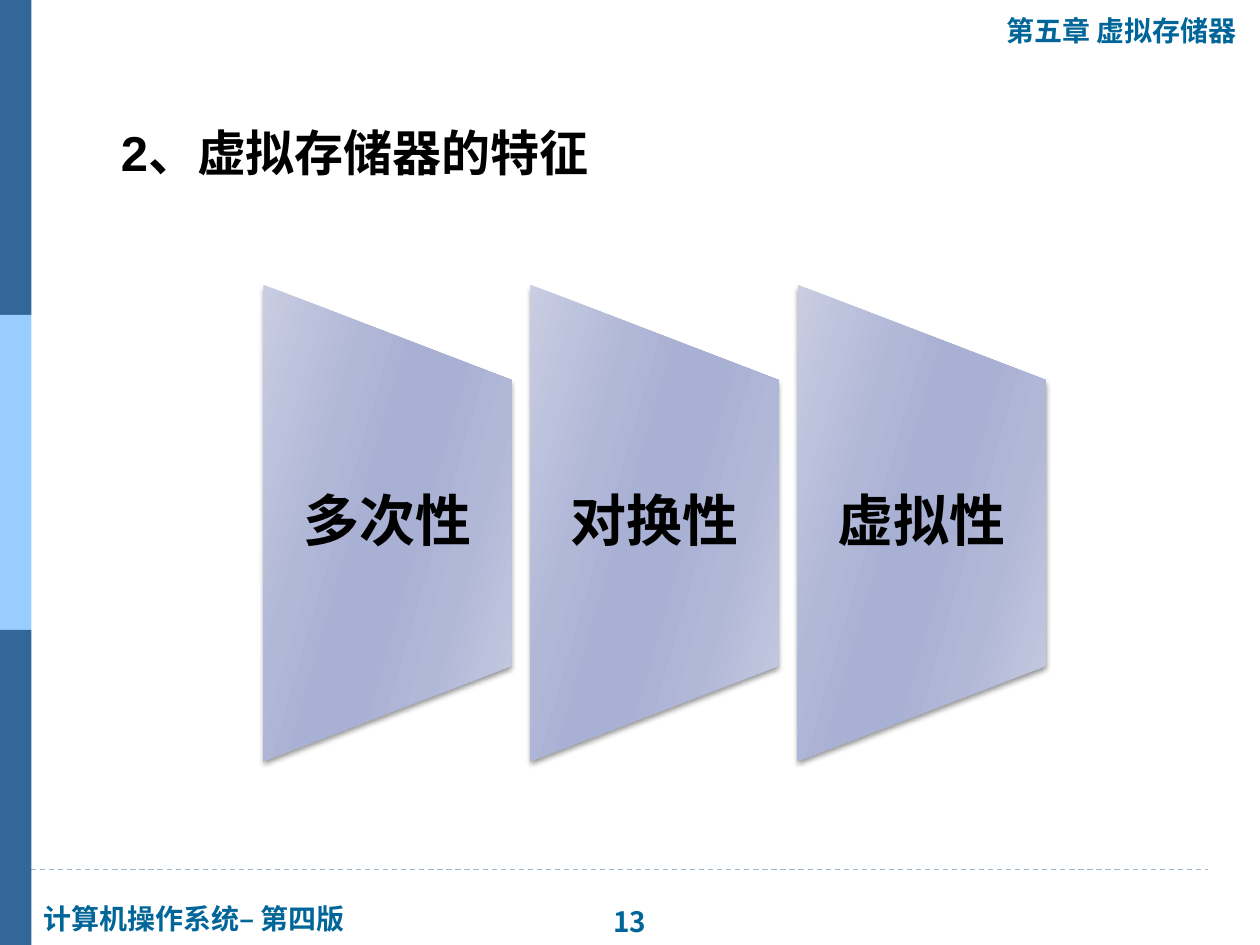
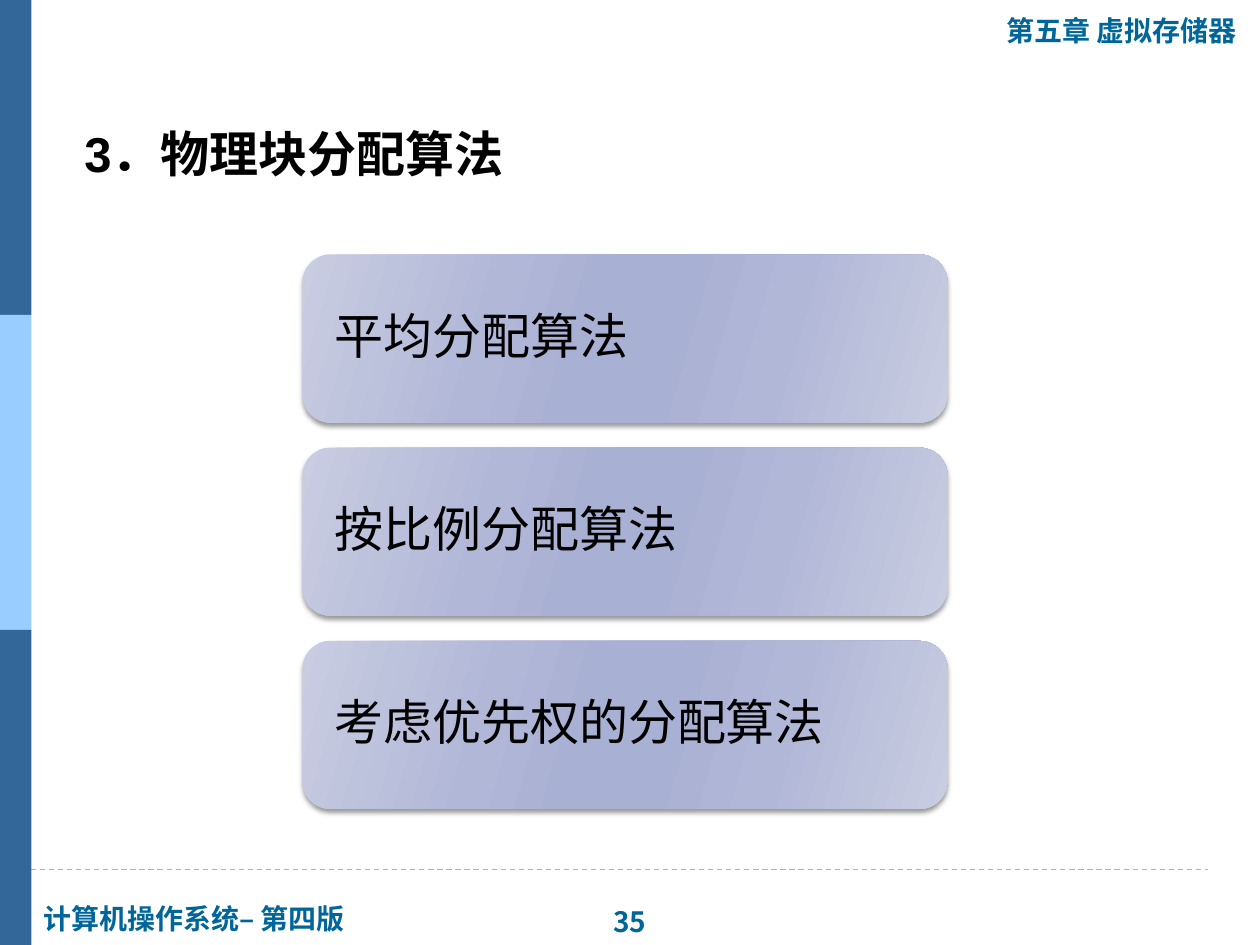
from lxml import etree
from pptx import Presentation
from pptx import util as u
from pptx.dml.color import RGBColor
from pptx.enum import dml, shapes, text
from pptx.oxml import ns

COLORS = {
    "bar": "336699",
    "bar_light": "99CCFF",
    "label": "006699",
    "rule": "9FB8CD",
    "text": "000000",
    "edge": "C9CDE2",
    "mid": "B1B7D7",
    "core": "A8B0D3",
}
SHEEN = [(0, "edge"), (30, "mid"), (45, "core"), (55, "core"), (73, "mid"), (100, "edge")]
SHEEN_ANGLE = 16
TITLE_ONLY = 5


def rgb(name):
    return RGBColor.from_string(COLORS[name])


def inches(*values):
    return [u.Inches(value) for value in values]


def add_element(parent, tag, **attributes):
    element = etree.SubElement(parent, ns.qn(tag))
    for name, value in attributes.items():
        element.set(name, str(value))
    return element


def write_text(shape, words, size, font="Arial", color="text", bold=False,
               align=text.PP_ALIGN.LEFT, anchor=text.MSO_ANCHOR.TOP,
               line_spacing=None, insets=(0.1, 0.05, 0.1, 0.05)):
    frame = shape.text_frame
    frame.word_wrap = True
    frame.auto_size = text.MSO_AUTO_SIZE.NONE
    frame.vertical_anchor = anchor
    (frame.margin_left, frame.margin_top,
     frame.margin_right, frame.margin_bottom) = inches(*insets)
    para = frame.paragraphs[0]
    para.alignment = align
    para.space_before = u.Pt(0)
    if line_spacing:
        para.line_spacing = line_spacing
    span = para.add_run()
    span.text = words
    span.font.size = u.Pt(size)
    span.font.name = font
    span.font.bold = bold
    span.font.color.rgb = rgb(color)


def add_label(page, box, words, size, **style):
    write_text(page.shapes.add_textbox(*inches(*box)), words, size, **style)


def add_glossy_shape(page, kind, box):
    """Add a borderless shape with the slanted sheen and a soft shadow below."""
    shape = page.shapes.add_shape(kind, *inches(*box))
    shape.line.fill.background()
    properties = shape._element.spPr

    gradient = etree.Element(ns.qn("a:gradFill"), rotWithShape="0")
    stops = add_element(gradient, "a:gsLst")
    for percent, name in SHEEN:
        stop = add_element(stops, "a:gs", pos=percent * 1000)
        add_element(stop, "a:srgbClr", val=COLORS[name])
    add_element(gradient, "a:lin", ang=SHEEN_ANGLE * 60000, scaled=0)
    properties.find(ns.qn("a:prstGeom")).addnext(gradient)

    effects = add_element(properties, "a:effectLst")
    shadow = add_element(effects, "a:outerShdw", blurRad=u.Pt(3), dist=u.Pt(2),
                         dir=90 * 60000, rotWithShape=0)
    shade = add_element(shadow, "a:srgbClr", val=COLORS["text"])
    add_element(shade, "a:alpha", val=40000)
    return shape


def add_rule(page):
    rule = page.shapes.add_connector(shapes.MSO_CONNECTOR.STRAIGHT,
                                     *inches(-0.04, 6.9, 9.59, 6.9))
    rule.line.color.rgb = rgb("rule")
    rule.line.width = u.Pt(0.75)
    rule.line.dash_style = dml.MSO_LINE.DASH
    add_element(rule._element.spPr, "a:effectLst")


def add_side_bars(page, width=0.25, height=2.5):
    for row, color in enumerate(["bar", "bar_light", "bar"]):
        bar = page.shapes.add_shape(shapes.MSO_SHAPE.RECTANGLE,
                                    *inches(0, row * height, width, height))
        bar.shadow.inherit = False
        bar.fill.solid()
        bar.fill.fore_color.rgb = rgb(color)
        bar.line.fill.background()


def add_page(deck, number, title, title_box, **title_style):
    """Add a slide with its title and the parts that every slide shares."""
    page = deck.slides.add_slide(deck.slide_layouts[TITLE_ONLY])
    add_rule(page)
    add_side_bars(page)
    style = {"size": 16, "color": "label", "bold": True}
    add_label(page, (0.25, 7.11, 2.65, 0.37), "计算机操作系统– 第四版", **style)
    add_label(page, (4.73, 7.13, 0.54, 0.37), str(number), font="Noto Sans CJK JP",
              align=text.PP_ALIGN.CENTER, **style)
    add_label(page, (7.89, 0.06, 2.07, 0.37), "第五章 虚拟存储器", **style)

    heading = page.shapes.title
    heading.left, heading.top, heading.width, heading.height = inches(*title_box)
    write_text(heading, title, 28, bold=True, **title_style)
    return page


def add_feature_panels(page, box, features, gap=0.15):
    """Fill the box with side-by-side panels that taper to the right."""
    left, top, width, height = box
    panel_width = (width - gap * (len(features) - 1)) / len(features)
    for column, feature in enumerate(features):
        x = left + column * (panel_width + gap)
        # The panel is laid out flat about its centre, then turned upright.
        flat = (x + (panel_width - height) / 2, top + (height - panel_width) / 2,
                height, panel_width)
        panel = add_glossy_shape(page, shapes.MSO_SHAPE.FLOWCHART_MANUAL_OPERATION, flat)
        panel.rotation = 270
        add_label(page, (x, top + height / 5, panel_width, height * 3 / 5), feature, 32,
                  font="Calibri", bold=True, align=text.PP_ALIGN.CENTER,
                  anchor=text.MSO_ANCHOR.MIDDLE, line_spacing=0.9,
                  insets=(0.22, 0, 0.22, 0))


def add_algorithm_cards(page, box, algorithms, gap=0.2):
    """Fill the box with a stack of rounded cards."""
    left, top, width, height = box
    card_height = (height - gap * (len(algorithms) - 1)) / len(algorithms)
    for row, algorithm in enumerate(algorithms):
        y = top + row * (card_height + gap)
        card = add_glossy_shape(page, shapes.MSO_SHAPE.ROUNDED_RECTANGLE,
                                (left, y, width, card_height))
        write_text(card, algorithm, 28, font="Calibri", anchor=text.MSO_ANCHOR.MIDDLE,
                   line_spacing=0.9, insets=(0.19, 0.19, 0.19, 0.19))


def main():
    deck = Presentation()
    deck.slide_width, deck.slide_height = inches(10, 7.5)

    features_page = add_page(deck, 13, "2、虚拟存储器的特征", (0.75, 0.92, 4.15, 0.57),
                             insets=(0.21, 0.05, 0.1, 0.05))
    add_feature_panels(features_page, (2.09, 2.26, 6.21, 3.78),
                       ["多次性", "对换性", "虚拟性"])

    algorithms_page = add_page(deck, 35, "3．物理块分配算法", (0.35, 0.84, 4.04, 0.59),
                               align=text.PP_ALIGN.JUSTIFY, line_spacing=1.2,
                               insets=(0.32, 0.05, 0.1, 0.05))
    add_algorithm_cards(algorithms_page, (2.4, 2.02, 5.12, 4.4),
                        ["平均分配算法", "按比例分配算法", "考虑优先权的分配算法"])

    deck.save("out.pptx")


if __name__ == "__main__":
    main()
